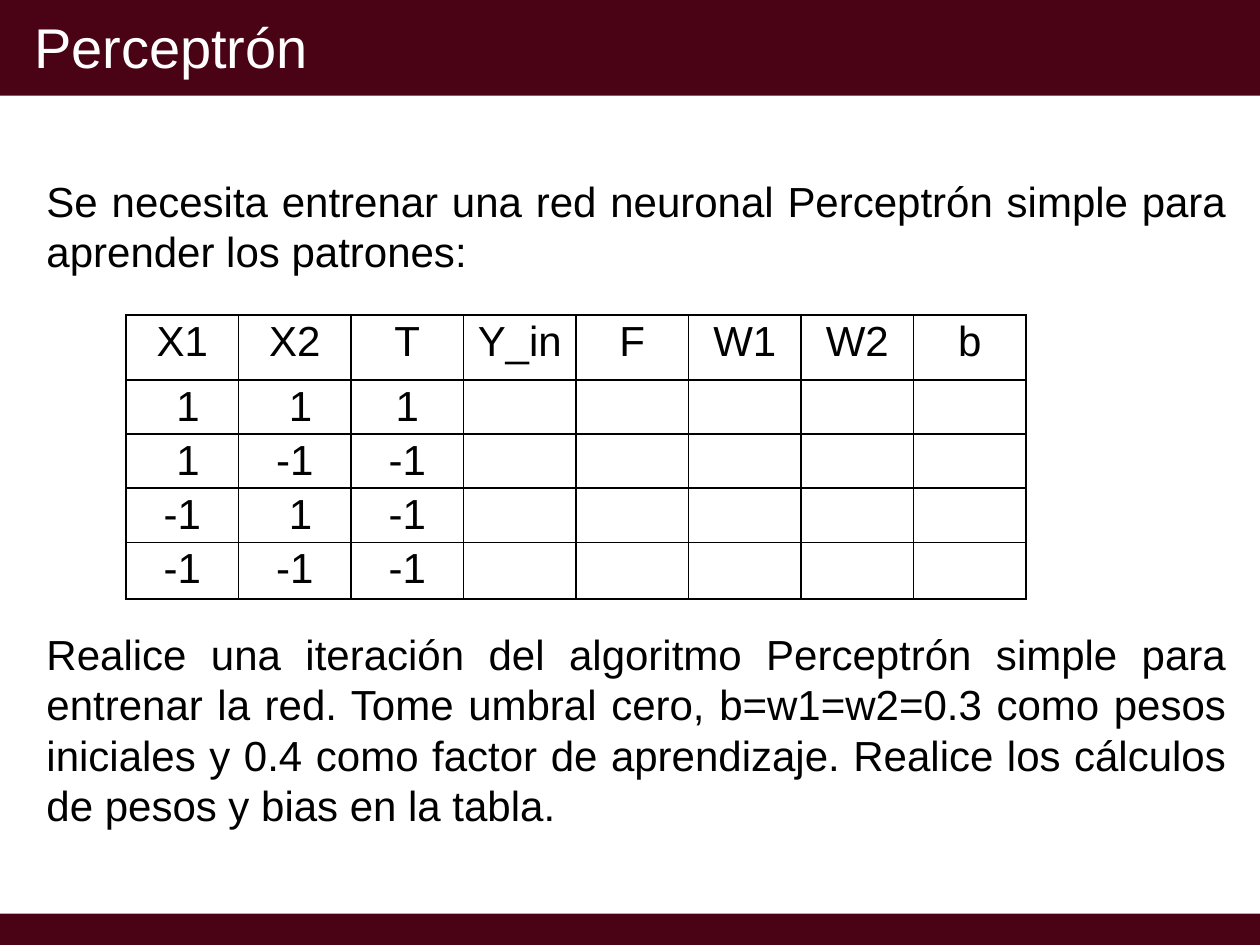
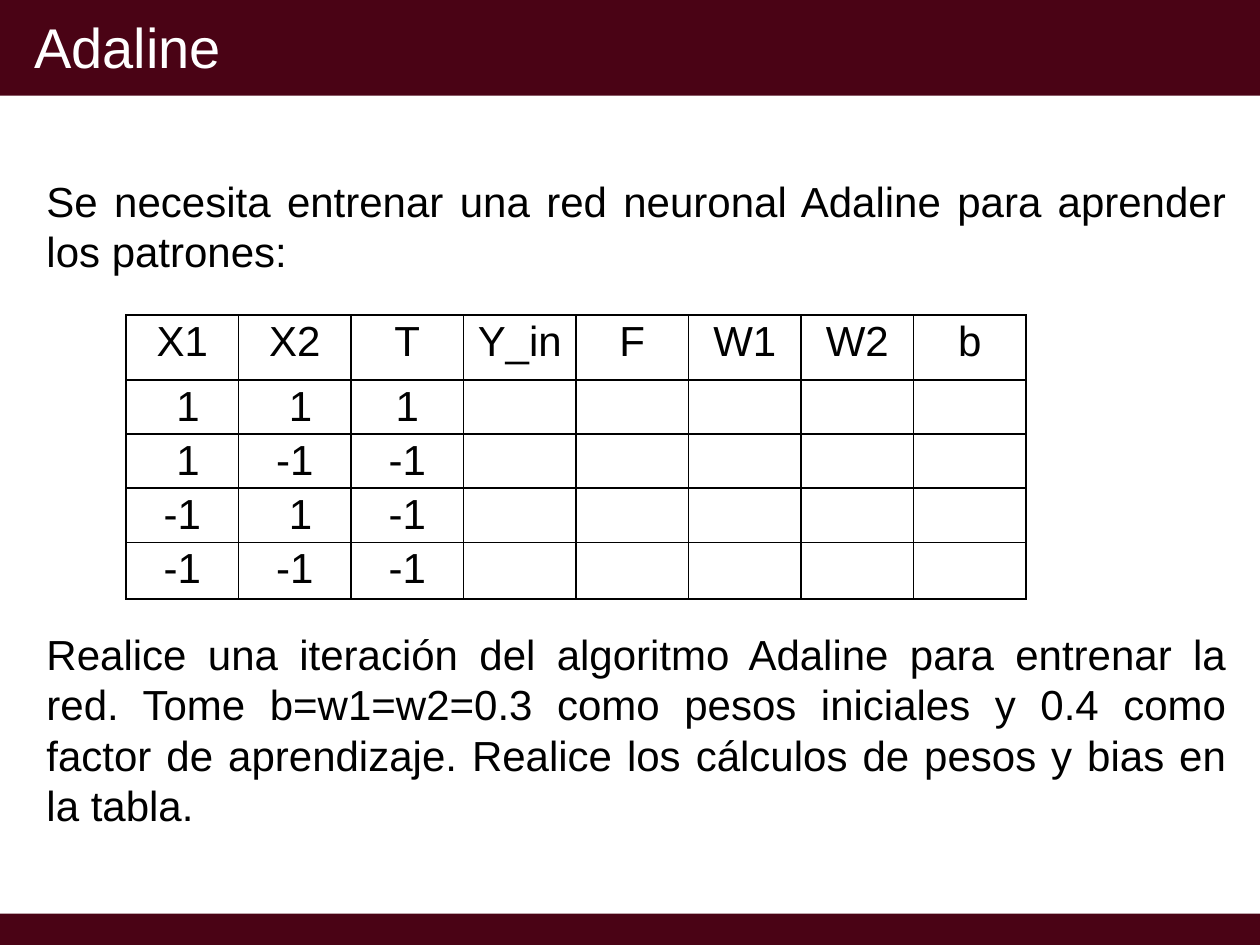
from dataclasses import dataclass

from lxml.etree import SubElement
from pptx import Presentation
from pptx.dml.color import RGBColor
from pptx.enum.shapes import MSO_SHAPE
from pptx.enum.text import MSO_ANCHOR, PP_ALIGN
from pptx.oxml.ns import qn
from pptx.util import Pt


@dataclass(frozen=True)
class Theme:
    band: RGBColor = RGBColor(0x4A, 0x03, 0x15)
    title: RGBColor = RGBColor(0xFF, 0xFF, 0xFF)
    ink: RGBColor = RGBColor(0x00, 0x00, 0x00)
    font: str = "Arial"
    title_size: int = 32
    body_size: int = 24
    border_width: int = 1


THEME = Theme()
WIDTH, HEIGHT = 720, 540
COLUMN_WIDTH = 64.3
ROW_HEIGHTS = [37.2, 30.9, 30.9, 30.9, 32.4]
TABLE_GAP = 201.5

HEADINGS = ["X1", "X2", "T", "Y_in", "F", "W1", "W2", "b"]
PATTERNS = [
    [" 1", " 1", "1"],
    [" 1", "-1", "-1"],
    ["-1", " 1", "-1"],
    ["-1", "-1", "-1"],
]
EXERCISES = [
    (
        "Perceptrón",
        "Se necesita entrenar una red neuronal Perceptrón simple para aprender los patrones:",
        "Realice una iteración del algoritmo Perceptrón simple para entrenar la red. "
        "Tome umbral cero, b=w1=w2=0.3 como pesos iniciales y 0.4 como factor de "
        "aprendizaje. Realice los cálculos de pesos y bias en la tabla.",
    ),
    (
        "Adaline",
        "Se necesita entrenar una red neuronal Adaline para aprender los patrones:",
        "Realice una iteración del algoritmo Adaline para entrenar la red. "
        "Tome b=w1=w2=0.3 como pesos iniciales y 0.4 como factor de "
        "aprendizaje. Realice los cálculos de pesos y bias en la tabla.",
    ),
]


def write(para, text, size, color, align=PP_ALIGN.LEFT, spacing=None):
    para.text = text
    para.alignment = align
    para.line_spacing = spacing
    para.font.name = THEME.font
    para.font.size = Pt(size)
    para.font.color.rgb = color


def add_band(page, top, height):
    band = page.shapes.add_shape(MSO_SHAPE.RECTANGLE, 0, Pt(top), Pt(WIDTH), Pt(height))
    band.shadow.inherit = False
    band.fill.solid()
    band.fill.fore_color.rgb = THEME.band
    band.line.fill.background()


def add_text_frame(page, left, top, width, height):
    box = page.shapes.add_textbox(Pt(left), Pt(top), Pt(width), Pt(height))
    box.text_frame.word_wrap = True
    return box.text_frame


def add_title(page, text):
    frame = add_text_frame(page, 19.5, 9.4, 530.6, 45.4)
    frame.margin_left = frame.margin_right = frame.margin_top = frame.margin_bottom = 0
    frame.vertical_anchor = MSO_ANCHOR.MIDDLE
    write(frame.paragraphs[0], text, THEME.title_size, THEME.title, spacing=0.59)


def add_statement(page, problem, task):
    frame = add_text_frame(page, 19.5, 96.5, 688.3, 385.2)
    write(frame.paragraphs[0], problem, THEME.body_size, THEME.ink, PP_ALIGN.JUSTIFY)
    para = frame.add_paragraph()
    write(para, task, THEME.body_size, THEME.ink, PP_ALIGN.JUSTIFY)
    para.space_before = Pt(TABLE_GAP)


def add_borders(cell):
    properties = cell._tc.get_or_add_tcPr()
    for side in ("a:lnL", "a:lnR", "a:lnT", "a:lnB"):
        line = SubElement(properties, qn(side), w=str(Pt(THEME.border_width)))
        fill = SubElement(line, qn("a:solidFill"))
        SubElement(fill, qn("a:srgbClr"), val=str(THEME.ink))


def fill_cell(cell, text):
    add_borders(cell)
    cell.fill.background()
    cell.margin_left = cell.margin_right = Pt(5)
    cell.margin_top = cell.margin_bottom = 0
    write(cell.text_frame.paragraphs[0], text, THEME.body_size, THEME.ink,
          PP_ALIGN.CENTER, 1.07)


def add_training_table(page):
    rows = [HEADINGS] + [row + [""] * (len(HEADINGS) - len(row)) for row in PATTERNS]
    table = page.shapes.add_table(
        len(rows), len(HEADINGS), Pt(72), Pt(180),
        Pt(COLUMN_WIDTH * len(HEADINGS)), Pt(sum(ROW_HEIGHTS)),
    ).table
    table.first_row = table.horz_banding = False
    for column in table.columns:
        column.width = Pt(COLUMN_WIDTH)
    for row, height, values in zip(table.rows, ROW_HEIGHTS, rows):
        row.height = Pt(height)
        for cell, value in zip(row.cells, values):
            fill_cell(cell, value)


def add_exercise(deck, title, problem, task):
    page = deck.slides.add_slide(deck.slide_layouts[6])
    add_band(page, 522, 18)
    add_band(page, 0, 54.7)
    add_title(page, title)
    add_statement(page, problem, task)
    add_training_table(page)


def main():
    deck = Presentation()
    deck.slide_width, deck.slide_height = Pt(WIDTH), Pt(HEIGHT)
    for title, problem, task in EXERCISES:
        add_exercise(deck, title, problem, task)
    deck.save("out.pptx")


if __name__ == "__main__":
    main()
